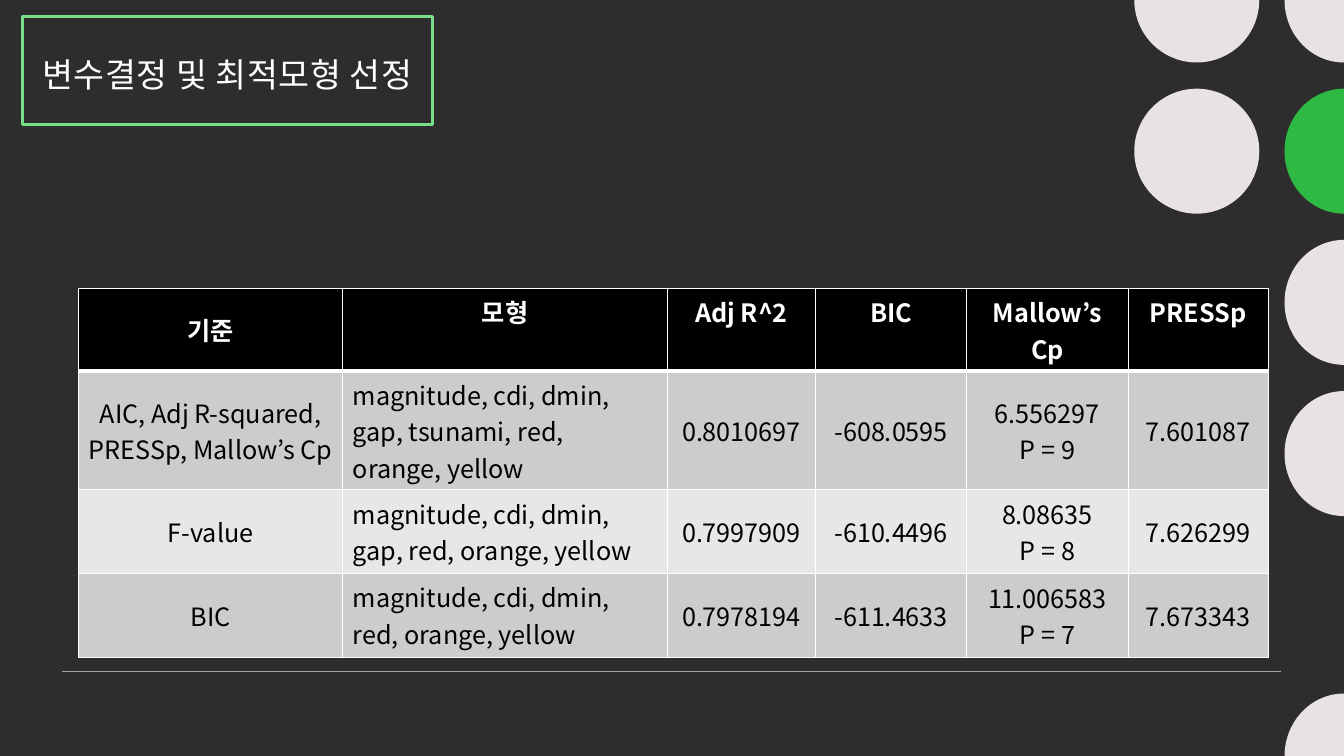
from dataclasses import dataclass
from math import cos, radians, sin

from lxml.etree import SubElement as sub
from pptx import Presentation
from pptx.dml.color import RGBColor as Rgb
from pptx.enum.shapes import MSO_CONNECTOR as Link, MSO_SHAPE as Kind
from pptx.enum.text import MSO_ANCHOR as Anchor, PP_ALIGN as Align
from pptx.oxml import parse_xml
from pptx.oxml.ns import nsdecls, qn
from pptx.shapes.autoshape import Shape
from pptx.slide import Slide
from pptx.table import _Cell as Cell
from pptx.text.text import _Paragraph as Para
from pptx.util import Inches, Pt

WIDE, HIGH = 13.33, 7.5
STEP = HIGH / 5
HALF = 0.62
TURN = 60000


@dataclass(frozen=True)
class Theme:
    font: str = "Noto Sans CJK KR"
    back: str = "2D2D2D"
    pale: str = "E8E2E7"
    green: str = "2EB945"
    frame: str = "79DE8A"
    rule: str = "A6A6A6"
    white: str = "FFFFFF"
    black: str = "000000"
    bands: tuple[str, str] = ("CCCCCC", "E7E7E7")
    title: int = 24
    body: int = 18


@dataclass(frozen=True)
class Arc:
    row: int
    mid: float
    wide: float
    start: int
    end: int
    color: str


@dataclass(frozen=True)
class Row:
    high: float
    texts: tuple[str, ...]


THEME = Theme()
LEFT = 11.87
ARCS = [
    Arc(0, LEFT, HALF, 0, 180, THEME.pale),
    Arc(0, WIDE, 0.59, 90, 180, THEME.pale),
    Arc(1, WIDE, 0.59, 90, 270, THEME.green),
    Arc(2, WIDE, 0.59, 90, 270, THEME.pale),
    Arc(3, WIDE, 0.59, 90, 270, THEME.pale),
    Arc(5, WIDE, 0.59, 180, 270, THEME.pale),
]
COLS = [2.62, 3.22, 1.47, 1.5, 1.6, 1.39]
ROWS = [
    Row(0.82, ("기준", "모형", "Adj R^2", "BIC", "Mallow’s Cp", "PRESSp")),
    Row(1.18, ("AIC, Adj R-squared, PRESSp, Mallow’s Cp",
               "magnitude, cdi, dmin, gap, tsunami, red, orange, yellow",
               "0.8010697", "-608.0595", "6.556297\nP = 9", "7.601087")),
    Row(0.83, ("F-value", "magnitude, cdi, dmin, gap, red, orange, yellow",
               "0.7997909", "-610.4496", "8.08635\nP = 8", "7.626299")),
    Row(0.83, ("BIC", "magnitude, cdi, dmin, red, orange, yellow",
               "0.7978194", "-611.4633", "11.006583\nP = 7", "7.673343")),
]


def tint(shape: Shape, color: str) -> None:
    shape.shadow.inherit = False
    shape.fill.solid()
    shape.fill.fore_color.rgb = Rgb.from_string(color)
    shape.line.fill.background()


def style(para: Para, size: int, color: str, bold: bool = False) -> None:
    font = para.font
    font.size, font.bold, font.name = Pt(size), bold, THEME.font
    font.color.rgb = Rgb.from_string(color)
    sub(font._element, qn("a:ea"), typeface=THEME.font)


def draw_arc(slide: Slide, arc: Arc) -> None:
    mid_y = arc.row * STEP
    left, right = arc.mid - arc.wide, min(arc.mid + arc.wide, WIDE)
    top, base = max(mid_y - HALF, 0), min(mid_y + HALF, HIGH)
    form = slide.shapes.build_freeform(Inches(left), Inches(top))
    form.add_line_segments([(Inches(x), Inches(y)) for x, y in
                            ((right, top), (right, base), (left, base))])
    shape = form.convert_to_shape()
    tint(shape, arc.color)
    trace = shape._element.find(".//" + qn("a:path"))
    for part in list(trace):
        trace.remove(part)
    turn = radians(arc.start)
    rim = (arc.mid + arc.wide * cos(turn), mid_y + HALF * sin(turn))
    for tag, (x, y) in (("a:moveTo", (arc.mid, mid_y)), ("a:lnTo", rim)):
        sub(sub(trace, qn(tag)), qn("a:pt"),
            x=str(Inches(x - left)), y=str(Inches(y - top)))
    sub(trace, qn("a:arcTo"), wR=str(Inches(arc.wide)), hR=str(Inches(HALF)),
        stAng=str(arc.start * TURN), swAng=str((arc.end - arc.start) * TURN))
    sub(trace, qn("a:close"))


def draw_disc(slide: Slide) -> None:
    disc = slide.shapes.add_shape(
        Kind.OVAL, Inches(LEFT - HALF), Inches(STEP - HALF),
        Inches(2 * HALF), Inches(2 * HALF))
    tint(disc, THEME.pale)


def draw_rule(slide: Slide) -> None:
    top = Inches(6.66)
    rule = slide.shapes.add_connector(
        Link.STRAIGHT, Inches(0.62), top, Inches(12.71), top)
    rule.line.color.rgb = Rgb.from_string(THEME.rule)
    rule.line.width = Pt(1)
    sub(rule._element.spPr, qn("a:effectLst"))


def draw_title(slide: Slide, text: str) -> None:
    box = slide.shapes.add_textbox(
        Inches(0.22), Inches(0.16), Inches(4.07), Inches(1.08))
    box.line.color.rgb = Rgb.from_string(THEME.frame)
    box.line.width = Pt(2.25)
    frame = box.text_frame
    frame.word_wrap = True
    frame.vertical_anchor = Anchor.MIDDLE
    frame.margin_left = frame.margin_right = frame.margin_top = Inches(0.12)
    frame.margin_bottom = Inches(0.1)
    para = frame.paragraphs[0]
    para.text = text
    para.alignment = Align.CENTER
    para.line_spacing = 1.1
    style(para, THEME.title, THEME.white)
    para.font._element.set("spc", "40")


def edge_cell(cell: Cell, head: bool, under: bool) -> None:
    props = cell._tc.get_or_add_tcPr()
    for spot, side in enumerate("LRTB"):
        thick = head and side == "B" or under and side == "T"
        props.insert(spot, parse_xml(
            f'<a:ln{side} {nsdecls("a")} w="{int(Pt(3 if thick else 1))}">'
            f'<a:solidFill><a:srgbClr val="{THEME.white}"/></a:solidFill>'
            f'</a:ln{side}>'))


def fill_cell(cell: Cell, text: str, row: int, col: int) -> None:
    head = row == 0
    fill = THEME.black if head else THEME.bands[(row - 1) % 2]
    cell.fill.solid()
    cell.fill.fore_color.rgb = Rgb.from_string(fill)
    edge_cell(cell, head, row == 1)
    high = col == 1 or head and col > 0
    cell.vertical_anchor = Anchor.TOP if high else Anchor.MIDDLE
    cell.text = text
    for para in cell.text_frame.paragraphs:
        para.alignment = Align.LEFT if col == 1 and not head else Align.CENTER
        style(para, THEME.body, THEME.white if head else THEME.black, head)


def draw_table(slide: Slide) -> None:
    table = slide.shapes.add_table(
        len(ROWS), len(COLS), Inches(0.78), Inches(2.86),
        Inches(sum(COLS)), Inches(sum(row.high for row in ROWS))).table
    for col, wide in zip(table.columns, COLS):
        col.width = Inches(wide)
    for r, row in enumerate(ROWS):
        table.rows[r].height = Inches(row.high)
        for c, text in enumerate(row.texts):
            fill_cell(table.cell(r, c), text, r, c)


def main() -> None:
    deck = Presentation()
    deck.slide_width, deck.slide_height = Inches(WIDE), Inches(HIGH)
    slide = deck.slides.add_slide(deck.slide_layouts[6])
    back = slide.background.fill
    back.solid()
    back.fore_color.rgb = Rgb.from_string(THEME.back)
    draw_disc(slide)
    for arc in ARCS:
        draw_arc(slide, arc)
    draw_rule(slide)
    draw_title(slide, "변수결정 및 최적모형 선정")
    draw_table(slide)
    deck.save("out.pptx")


if __name__ == "__main__":
    main()
